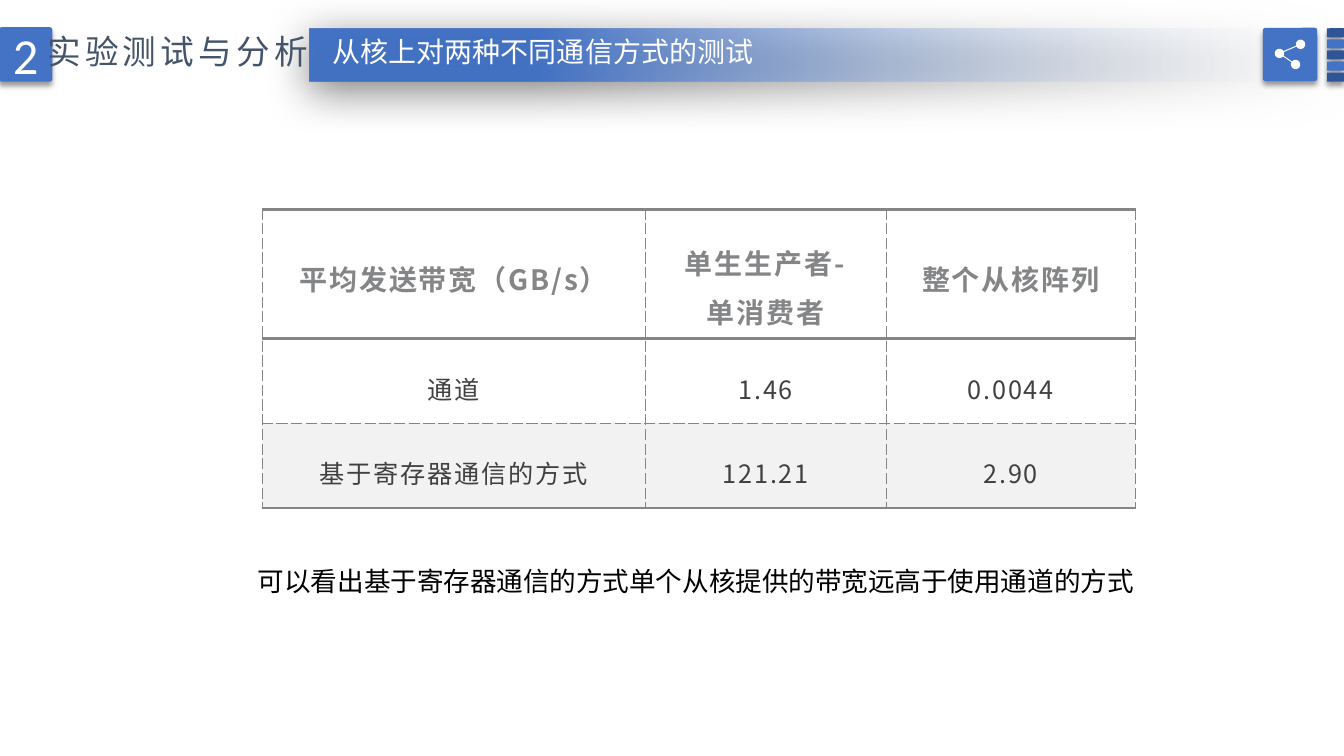
from dataclasses import dataclass
from math import atan2, cos, degrees, radians, sin
from typing import Optional

from lxml.etree import SubElement
from pptx import Presentation
from pptx.dml.color import RGBColor
from pptx.enum.shapes import MSO_SHAPE as Shape
from pptx.enum.text import MSO_ANCHOR as Anchor, MSO_AUTO_SIZE as AutoSize, PP_ALIGN as Align
from pptx.oxml import parse_xml
from pptx.oxml.ns import nsdecls, qn
from pptx.util import Pt

PX = 9144
CJK = "Noto Sans CJK SC"
BLUE = RGBColor(0x44, 0x72, 0xC4)
NAVY = RGBColor(0x2F, 0x55, 0x97)
PALE = RGBColor(0xF7, 0xFA, 0xFD)
SLATE = RGBColor(0x44, 0x54, 0x6A)
GREY = RGBColor(0x84, 0x85, 0x87)
DARK = RGBColor(0x40, 0x40, 0x40)
BAND = RGBColor(0xF2, 0xF2, 0xF2)
WHITE = RGBColor(0xFF, 0xFF, 0xFF)
BLACK = RGBColor(0x00, 0x00, 0x00)


@dataclass(frozen=True)
class Box:
    x: int
    y: int
    w: int
    h: int

    def emu(self) -> tuple:
        return self.x * PX, self.y * PX, self.w * PX, self.h * PX


@dataclass(frozen=True)
class Style:
    size: int
    color: RGBColor
    font: str = CJK
    bold: bool = False
    spacing: int = 0


@dataclass(frozen=True)
class Shadow:
    alpha: int
    blur: int
    dist: int
    angle: int


@dataclass(frozen=True)
class Tile:
    box: Box
    color: RGBColor
    rotation: int = 0
    label: str = ""


@dataclass(frozen=True)
class Node:
    x: int
    y: int

    def angle_to(self, other: "Node") -> float:
        return degrees(atan2(other.y - self.y, other.x - self.x))


TILE_SHADOW = Shadow(40, 4, 3, 90)
BAR_SHADOW = Shadow(50, 31, 6, 97)
NUMBER = Style(36, WHITE, "Calibri")
HEADING = Style(24, SLATE, spacing=300)
SUBTITLE = Style(20, WHITE)
CAPTION = Style(19, BLACK, "Cabin")
HEADER = Style(20, GREY, bold=True, spacing=130)
BODY = Style(18, DARK, spacing=130)

BADGE = Tile(Box(-1, 27, 53, 54), BLUE, label="2")
STRIPES = [Tile(Box(1320, 24 + 11 * i, 9, 17), BLUE if i % 2 else NAVY, 270) for i in range(5)]
ICON_TILE = Tile(Box(1253, 27, 53, 54), BLUE, 270)

HUB, UPPER, LOWER = Node(1269, 53), Node(1290, 44), Node(1285, 64)
NODE_RADIUS = 4.6
LINK_HALF_ANGLE = 6
ARC_STEPS = 24

COLUMNS = [380, 239, 247]
ROWS = [127, 83, 83]
DATA = [
    ["平均发送带宽（GB/s）", "单生生产者-单消费者", "整个从核阵列"],
    ["通道", "1.46", "0.0044"],
    ["基于寄存器通信的方式", "121.21", "2.90"],
]


def write(tf, text: str, style: Style, align: Align = Align.LEFT) -> None:
    tf.text = text
    p = tf.paragraphs[0]
    p.alignment = align
    r = p.runs[0]
    r.font.size = Pt(style.size)
    r.font.bold = style.bold
    r.font.color.rgb = style.color
    r.font.name = style.font
    rPr = r._r.get_or_add_rPr()
    SubElement(rPr, qn("a:ea")).set("typeface", CJK)
    rPr.set("spc", str(style.spacing))


def finish(sp, shadow: Optional[Shadow] = None) -> None:
    sp.line.fill.background()
    sp.shadow.inherit = False
    if shadow:
        effects = next(sp.element.iter(qn("a:effectLst")))
        effects.append(parse_xml(
            f'<a:outerShdw {nsdecls("a")} blurRad="{Pt(shadow.blur)}" dist="{Pt(shadow.dist)}" '
            f'dir="{shadow.angle * 60000}" algn="ctr" rotWithShape="0"><a:srgbClr val="000000">'
            f'<a:alpha val="{shadow.alpha * 1000}"/></a:srgbClr></a:outerShdw>'))


def add_bar(slide, box: Box) -> None:
    sp = slide.shapes.add_shape(Shape.RECTANGLE, *box.emu())
    sp.fill.gradient()
    sp.fill.gradient_angle = 180
    for stop, position, color in zip(sp.fill.gradient_stops, (0, 0.78), (PALE, BLUE)):
        stop.position = position
        stop.color.rgb = color
    first_color = next(sp.element.iter(qn("a:srgbClr")))
    SubElement(first_color, qn("a:alpha")).set("val", "0")
    finish(sp, BAR_SHADOW)


def add_tile(slide, tile: Tile) -> None:
    sp = slide.shapes.add_shape(Shape.ROUNDED_RECTANGLE, *tile.box.emu())
    sp.adjustments[0] = 0.05
    sp.rotation = tile.rotation
    sp.fill.solid()
    sp.fill.fore_color.rgb = tile.color
    finish(sp, TILE_SHADOW)
    if tile.label:
        sp.text_frame.vertical_anchor = Anchor.MIDDLE
        write(sp.text_frame, tile.label, NUMBER, Align.CENTER)


def arc(node: Node, start: float, end: float) -> list:
    angles = [radians(start + (end - start) * i / ARC_STEPS) for i in range(ARC_STEPS + 1)]
    return [((node.x + NODE_RADIUS * cos(a)) * PX, (node.y + NODE_RADIUS * sin(a)) * PX) for a in angles]


def arc_around(node: Node, link_angle: float) -> list:
    return arc(node, link_angle + LINK_HALF_ANGLE, link_angle + 360 - LINK_HALF_ANGLE)


def add_share_icon(slide) -> None:
    up, down = HUB.angle_to(UPPER), HUB.angle_to(LOWER)
    hub_between_links = arc(HUB, up + LINK_HALF_ANGLE, down - LINK_HALF_ANGLE)
    hub_outside_links = arc(HUB, down + LINK_HALF_ANGLE, up + 360 - LINK_HALF_ANGLE)
    outline = [
        *arc_around(UPPER, UPPER.angle_to(HUB)),
        *hub_between_links,
        *arc_around(LOWER, LOWER.angle_to(HUB)),
        *hub_outside_links,
    ]
    builder = slide.shapes.build_freeform(*outline[0], scale=1.0)
    builder.add_line_segments(outline[1:], close=True)
    sp = builder.convert_to_shape()
    sp.fill.solid()
    sp.fill.fore_color.rgb = WHITE
    finish(sp)


def add_text(slide, box: Box, text: str, style: Style) -> None:
    tf = slide.shapes.add_textbox(*box.emu()).text_frame
    tf.word_wrap = True
    write(tf, text, style)


def place_title(slide, box: Box, text: str) -> None:
    title = slide.shapes.title
    title.left, title.top, title.width, title.height = box.emu()
    tf = title.text_frame
    tf.word_wrap = False
    tf.auto_size = AutoSize.NONE
    tf.vertical_anchor = Anchor.TOP
    write(tf, text, HEADING)
    slide.shapes.element.append(title.element)


def border(side: str, solid: bool):
    width, dash = (2.25, "solid") if solid else (0.75, "sysDash")
    return parse_xml(
        f'<a:ln{side} {nsdecls("a")} w="{Pt(width)}"><a:solidFill><a:srgbClr val="{GREY}"/></a:solidFill>'
        f'<a:prstDash val="{dash}"/></a:ln{side}>')


def format_cell(cell, text: str, style: Style, fill: RGBColor) -> None:
    cell.fill.solid()
    cell.fill.fore_color.rgb = fill
    cell.vertical_anchor = Anchor.MIDDLE
    cell.margin_left = cell.margin_right = 35 * PX
    cell.margin_top = cell.margin_bottom = 24 * PX
    write(cell.text_frame, text, style, Align.CENTER)
    cell.text_frame.paragraphs[0].line_spacing = 1.2


def add_bandwidth_table(slide, x: int, y: int) -> None:
    box = Box(x, y, sum(COLUMNS), sum(ROWS))
    frame = slide.shapes.add_table(len(ROWS), len(COLUMNS), *box.emu())
    table = frame.table
    table.first_row = table.horz_banding = False
    for column, width in zip(table.columns, COLUMNS):
        column.width = width * PX
    for i, (row, height, texts) in enumerate(zip(table.rows, ROWS, DATA)):
        row.height = height * PX
        for cell, text in zip(row.cells, texts):
            format_cell(cell, text, BODY if i else HEADER, BAND if i == 2 else WHITE)
    for i, tr in enumerate(frame.element.iter(qn("a:tr"))):
        solid_sides = {"L": False, "R": False, "T": i < 2, "B": i != 1}
        for tcPr in tr.iter(qn("a:tcPr")):
            for k, (side, solid) in enumerate(solid_sides.items()):
                tcPr.insert(k, border(side, solid))


def main() -> None:
    prs = Presentation()
    prs.slide_width, prs.slide_height = 1333 * PX, 750 * PX
    slide = prs.slides.add_slide(prs.slide_layouts[5])
    add_bar(slide, Box(307, 28, 1026, 53))
    add_tile(slide, BADGE)
    place_title(slide, Box(37, 26, 282, 50), "实验测试与分析")
    add_text(slide, Box(320, 29, 479, 44), "从核上对两种不同通信方式的测试", SUBTITLE)
    for tile in [*STRIPES, ICON_TILE]:
        add_tile(slide, tile)
    add_share_icon(slide)
    add_bandwidth_table(slide, 260, 208)
    add_text(slide, Box(246, 556, 953, 48), "可以看出基于寄存器通信的方式单个从核提供的带宽远高于使用通道的方式", CAPTION)
    prs.save("out.pptx")


if __name__ == "__main__":
    main()
